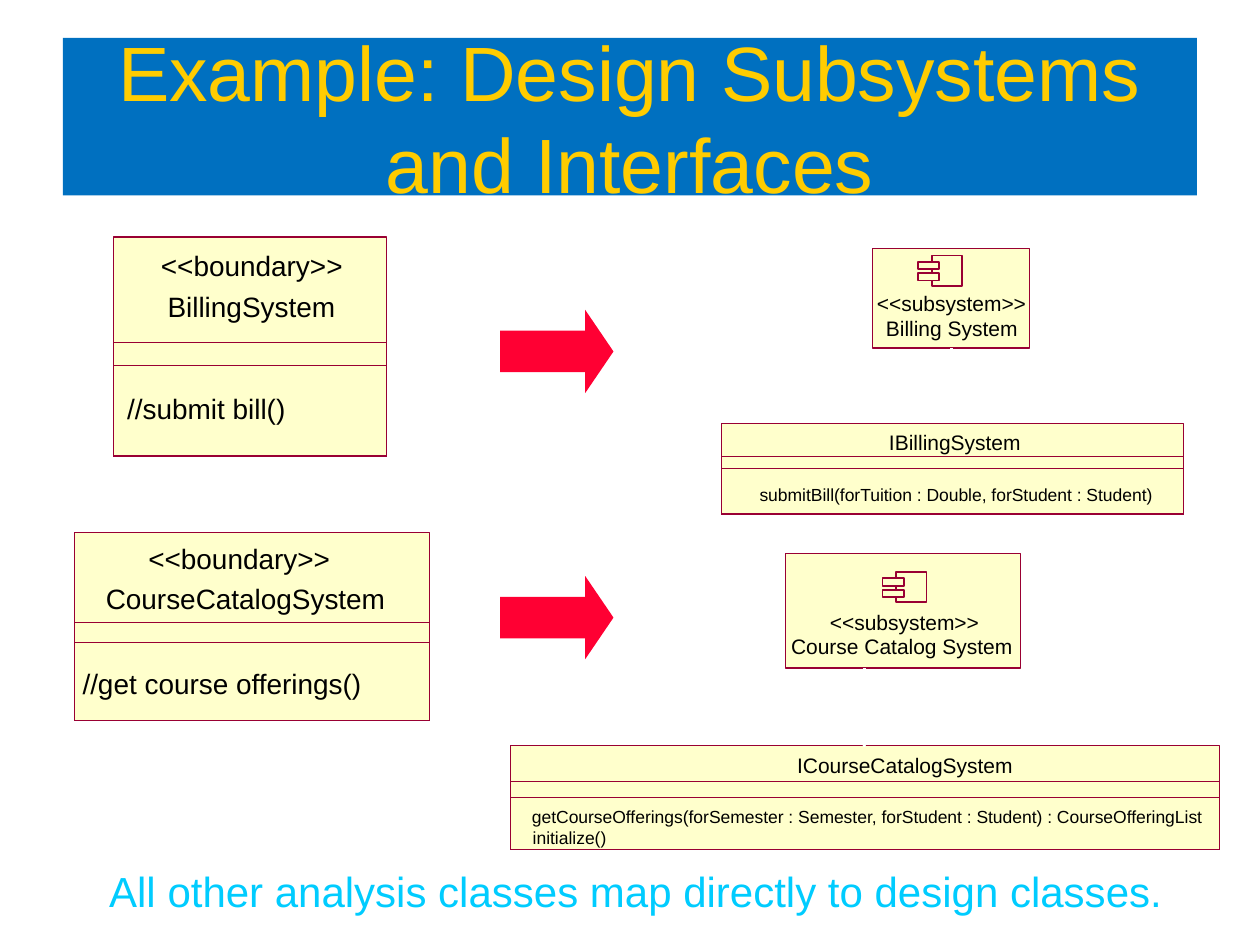
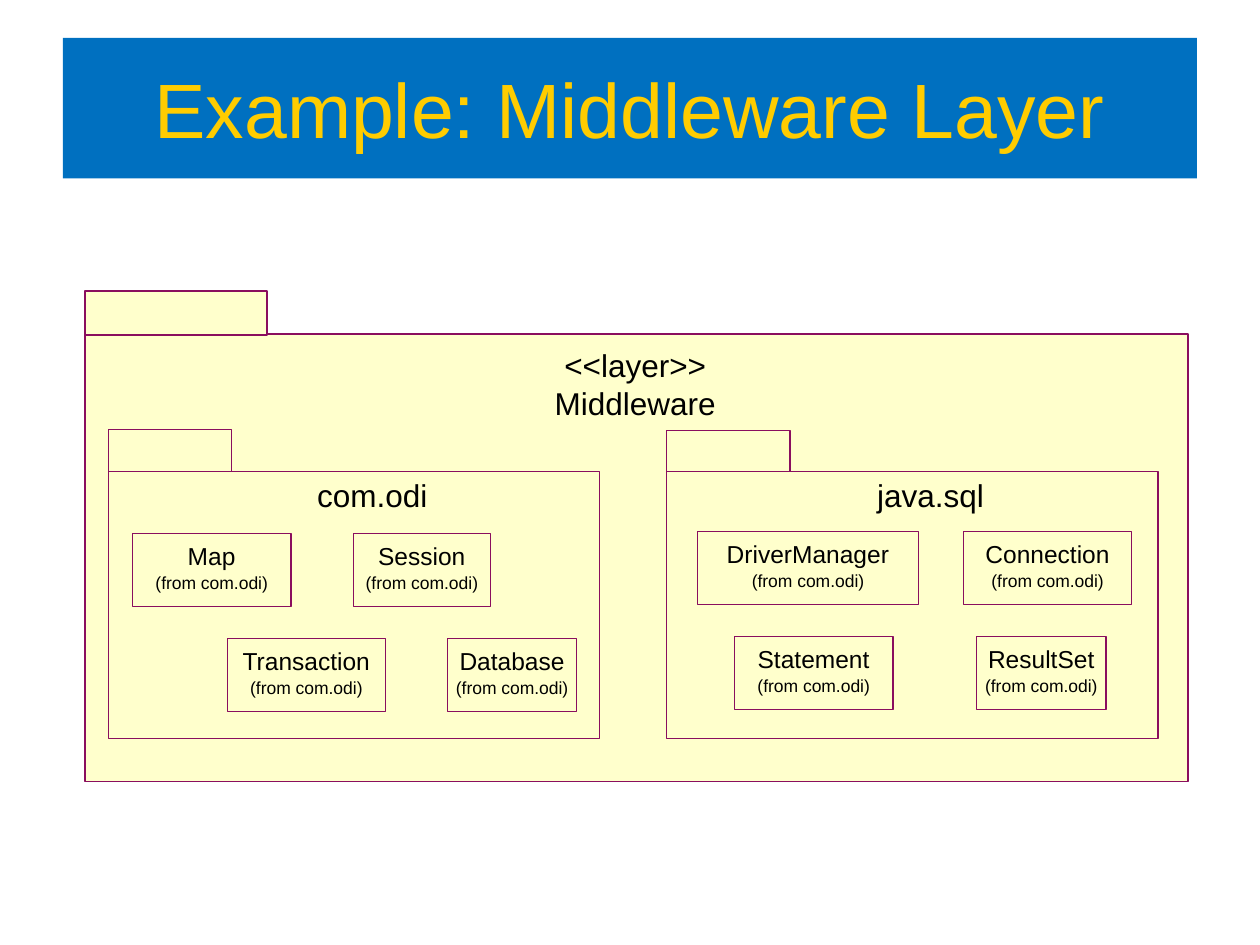
from dataclasses import dataclass
from typing import Optional

from lxml.etree import SubElement
from pptx import Presentation
from pptx.dml.color import RGBColor as Rgb
from pptx.enum.dml import MSO_LINE as Dash
from pptx.enum.shapes import MSO_CONNECTOR as Link, MSO_SHAPE as Kind
from pptx.enum.text import MSO_ANCHOR as Anchor, PP_ALIGN as Align
from pptx.oxml.ns import qn
from pptx.util import Pt


@dataclass(frozen=True)
class Theme:
    font: str = "Arial"
    band: str = "0070C0"
    gold: str = "FFCC00"
    sky: str = "00CCFF"
    red: str = "FF0033"
    cream: str = "FFFFCC"
    wine: str = "990033"
    plum: str = "8A0E5E"
    white: str = "FFFFFF"
    black: str = "000000"
    title: int = 44
    note: int = 24
    head: int = 18
    large: int = 16
    name: int = 14
    mid: int = 12
    small: int = 10


T = Theme()


@dataclass(frozen=True)
class Box:
    x: float
    y: float
    w: float
    h: float


@dataclass(frozen=True)
class Label:
    text: str
    x: float
    y: float
    w: float
    size: int


@dataclass(frozen=True)
class Class:
    box: Box
    rules: tuple[float, float]
    labels: tuple[Label, ...]


@dataclass(frozen=True)
class System:
    box: Box
    icon: tuple[float, float]
    labels: tuple[Label, ...]


@dataclass(frozen=True)
class Tie:
    x: float
    start: float
    end: float
    head: float
    tip: float


@dataclass(frozen=True)
class Item:
    name: str
    x: float
    y: float
    w: float


@dataclass(frozen=True)
class Pack:
    name: str
    box: Box
    tab: Box
    items: tuple[Item, ...]


CLASSES = (
    Class(Box(64.8, 135.4, 156.2, 125.3), (195.8, 208.8), (
        Label("<<boundary>>", 92, 141.8, 116, T.large),
        Label("BillingSystem", 95.8, 165.6, 108, T.large),
        Label("//submit bill()", 72.7, 223.9, 104, T.large))),
    Class(Box(412.4, 241.9, 264, 51.8), (260.8, 267.6), (
        Label("IBillingSystem", 508, 245.5, 90, T.mid),
        Label("submitBill(forTuition : Double, forStudent : Student)",
              434, 276.5, 240, T.small))),
    Class(Box(42.5, 304.3, 202.9, 107.3), (355.7, 367.1), (
        Label("<<boundary>>", 84.8, 309.6, 116, T.large),
        Label("CourseCatalogSystem", 60.5, 332.3, 174, T.large),
        Label("//get course offerings()", 47.2, 380.9, 174, T.large))),
    Class(Box(291.6, 426.2, 405.4, 59.2), (446.6, 455.6), (
        Label("ICourseCatalogSystem", 455.5, 429.8, 140, T.mid),
        Label("getCourseOfferings(forSemester : Semester, forStudent : Student)"
              " : CourseOfferingList", 304, 460.8, 393, T.small),
        Label("initialize()", 304.4, 472.3, 60, T.small))),
)

SYSTEMS = (
    System(Box(498.5, 142, 90, 56.9), (532.4, 146), (
        Label("<<subsystem>>", 501.1, 166.3, 100, T.mid),
        Label("Billing System", 506.2, 180.2, 90, T.mid))),
    System(Box(448.8, 316.3, 134.4, 65.5), (512.2, 326.9), (
        Label("<<subsystem>>", 474.2, 348.5, 100, T.mid),
        Label("Course Catalog System", 452, 362.2, 145, T.mid))),
)

TIES = (
    Tie(543.6, 198.9, 223.9, 223.9, 240.5),
    Tie(493.9, 381.8, 406.8, 408.2, 426.2),
)

PACKS = (
    Pack("com.odi", Box(61.9, 269.3, 280.8, 152.6),
         Box(61.9, 245.5, 70.4, 23.8), (
        Item("Map", 75.6, 304.8, 90.7),
        Item("Session", 201.8, 304.8, 78.5),
        Item("Transaction", 129.8, 364.8, 90.5),
        Item("Database", 255.6, 364.8, 74))),
    Pack("java.sql", Box(380.9, 269.3, 280.8, 152.6),
         Box(380.9, 246.2, 70.6, 23.1), (
        Item("DriverManager", 398.7, 303.8, 126),
        Item("Connection", 550.6, 303.8, 96),
        Item("Statement", 419.6, 363.8, 90.7),
        Item("ResultSet", 558, 363.8, 74))),
)


def span(box: Box) -> tuple:
    return Pt(box.x), Pt(box.y), Pt(box.w), Pt(box.h)


def draw(slide, box: Box, fill: Optional[str] = T.cream,
         line: Optional[str] = None, width: float = 0, kind=Kind.RECTANGLE):
    shape = slide.shapes.add_shape(kind, *span(box))
    paint(shape, fill, line, width)
    return shape


def paint(shape, fill: Optional[str], line: Optional[str], width: float) -> None:
    shape.shadow.inherit = False
    if fill:
        shape.fill.solid()
        shape.fill.fore_color.rgb = Rgb.from_string(fill)
    else:
        shape.fill.background()
    if line:
        shape.line.color.rgb = Rgb.from_string(line)
        shape.line.width = Pt(width)
    else:
        shape.line.fill.background()


def write(shape, text: str, *, size: int, color: str = T.black,
          align=Align.LEFT, anchor=Anchor.TOP,
          inset: tuple[float, float] = (0, 0)) -> None:
    frame = shape.text_frame
    frame.word_wrap = True
    frame.vertical_anchor = anchor
    frame.margin_left = frame.margin_right = Pt(inset[0])
    frame.margin_top = frame.margin_bottom = Pt(inset[1])
    for i, words in enumerate(text.split("\n")):
        para = frame.add_paragraph() if i else frame.paragraphs[0]
        para.alignment = align
        para.line_spacing = Pt(1.2 * size)
        run = para.add_run()
        run.text = words
        run.font.name = T.font
        run.font.size = Pt(size)
        run.font.color.rgb = Rgb.from_string(color)


def put(slide, text: str, box: Box, **style) -> None:
    write(slide.shapes.add_textbox(*span(box)), text, **style)


def mark(slide, label: Label, align=Align.LEFT) -> None:
    rows = label.text.count("\n") + 1
    box = Box(label.x, label.y, label.w, 1.2 * label.size * rows)
    put(slide, label.text, box, size=label.size, align=align)


def start(deck, title: str, height: float):
    slide = deck.slides.add_slide(deck.slide_layouts[6])
    band = draw(slide, Box(36, 21.6, 648, height), T.band)
    write(band, title, size=T.title, color=T.gold, align=Align.CENTER,
          anchor=Anchor.MIDDLE, inset=(7.2, 3.6))
    return slide


def model(slide, item: Class) -> None:
    box = item.box
    draw(slide, box, line=T.wine)
    for y in item.rules:
        draw(slide, Box(box.x, y, box.w, box.y + box.h - y), None, T.wine)
    for label in item.labels:
        mark(slide, label)


def system(slide, item: System) -> None:
    draw(slide, item.box, line=T.wine)
    x, y = item.icon
    draw(slide, Box(x, y, 17.3, 17.3), line=T.wine, width=1)
    for drop in (3.6, 10.1):
        draw(slide, Box(x - 7.9, y + drop, 12.2, 4.3), line=T.wine, width=1)
    for label in item.labels:
        mark(slide, label)


def tie(slide, item: Tie) -> None:
    line = slide.shapes.add_connector(
        Link.STRAIGHT, Pt(item.x), Pt(item.start), Pt(item.x), Pt(item.end))
    line.line.color.rgb = Rgb.from_string(T.white)
    line.line.width = Pt(1.5)
    line.line.dash_style = Dash.DASH
    SubElement(line._element.spPr, qn("a:effectLst"))
    path = slide.shapes.build_freeform(Pt(item.x), Pt(item.tip))
    path.add_line_segments([(Pt(item.x + 6.3), Pt(item.head)),
                            (Pt(item.x - 6.3), Pt(item.head))], close=True)
    paint(path.convert_to_shape(), None, T.white, 1.5)


def pack(slide, item: Pack) -> None:
    box = item.box
    draw(slide, box, line=T.plum)
    draw(slide, item.tab, line=T.plum, width=0.75)
    mark(slide, Label(item.name, box.x + 10.4, box.y + 2.9, box.w, T.head),
         Align.CENTER)
    for part in item.items:
        draw(slide, Box(part.x, part.y, part.w, 41.8), line=T.plum)
        for text, drop, size in ((part.name, 4.2, T.name),
                                 ("(from com.odi)", 22, T.small)):
            mark(slide, Label(text, part.x, part.y + drop, part.w, size),
                 Align.CENTER)


def design(deck) -> None:
    slide = start(deck, "Example: Design Subsystems and Interfaces", 90)
    put(slide, "All other analysis classes map directly to design classes.",
        Box(29.5, 490.3, 667.4, 37.4), size=T.note, color=T.sky,
        align=Align.CENTER, inset=(8.64, 4.32))
    for y in (177.1, 329.2):
        arrow = draw(slide, Box(285.8, y, 64.8, 47.5), T.red,
                     kind=Kind.RIGHT_ARROW)
        arrow.adjustments[0] = 0.5
        arrow.adjustments[1] = 0.34
    for item in CLASSES:
        model(slide, item)
    for item in SYSTEMS:
        system(slide, item)
    for item in TIES:
        tie(slide, item)


def layer(deck) -> None:
    slide = start(deck, "Example: Middleware Layer", 80.4)
    draw(slide, Box(48.5, 191, 630.4, 255.6), line=T.plum, width=1)
    draw(slide, Box(48.5, 166.3, 104.2, 25.2), line=T.plum, width=1)
    mark(slide, Label("<<layer>>\nMiddleware", 303, 198, 120, T.head),
         Align.CENTER)
    for item in PACKS:
        pack(slide, item)


def main() -> None:
    deck = Presentation()
    deck.slide_width, deck.slide_height = Pt(720), Pt(540)
    design(deck)
    layer(deck)
    deck.save("out.pptx")


if __name__ == "__main__":
    main()
